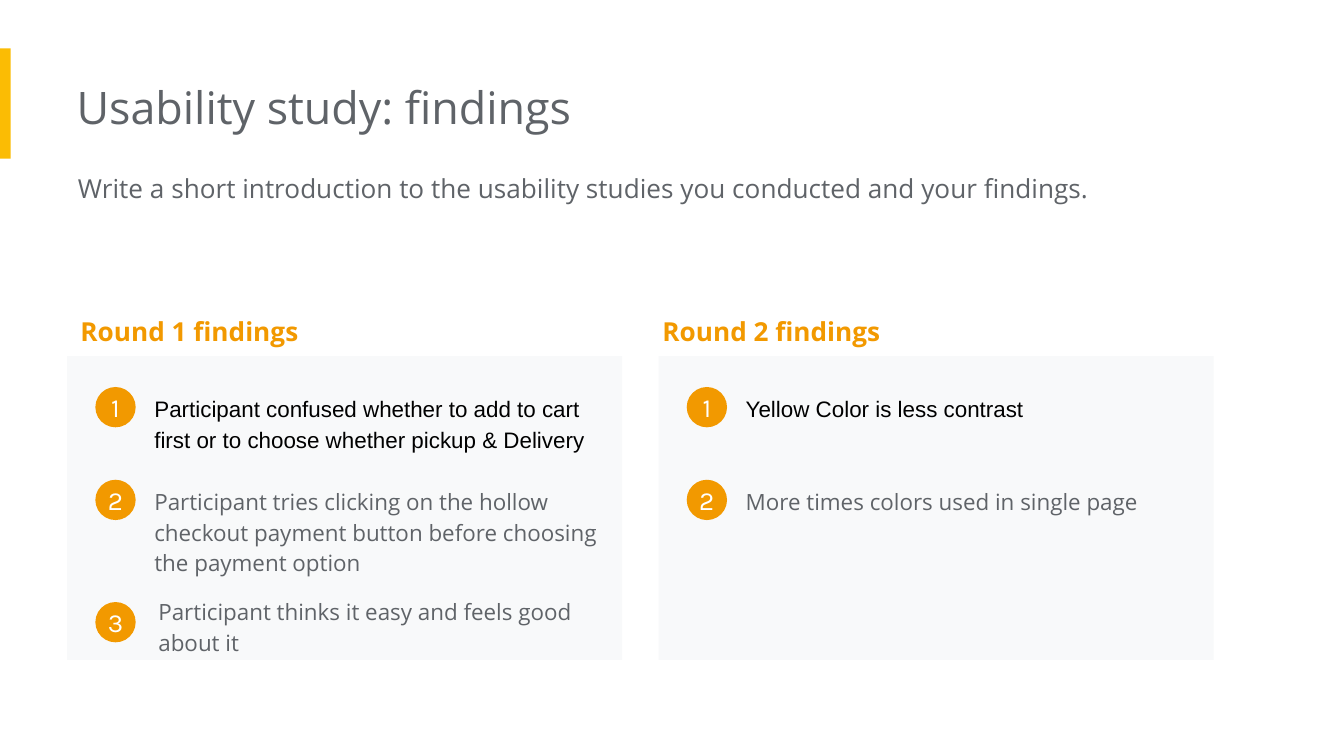
from dataclasses import dataclass

from pptx import Presentation
from pptx.dml.color import RGBColor
from pptx.enum.shapes import MSO_SHAPE
from pptx.enum.text import MSO_ANCHOR, PP_ALIGN
from pptx.util import Inches, Pt

RECT, OVAL = MSO_SHAPE.RECTANGLE, MSO_SHAPE.OVAL
TOP, MIDDLE = MSO_ANCHOR.TOP, MSO_ANCHOR.MIDDLE
LEFT, CENTER = PP_ALIGN.LEFT, PP_ALIGN.CENTER
GREY, ORANGE, YELLOW = "5F6368", "F29900", "FBBC04"
PANEL, WHITE, BLACK = "F8F9FA", "FFFFFF", "000000"
SANS, BADGE_FONT = "Open Sans", "Karla"
PANEL_TOP, PANEL_W, PANEL_H = 2.65, 4.13, 2.26
BADGE_SIZE, BADGE_DX, TEXT_DX = 0.3, 0.21, 0.55


@dataclass
class Style:
    size: float
    color: str
    name: str = SANS
    bold: bool = False
    spacing: float = 1.15


@dataclass
class Finding:
    text: str
    top: float
    height: float
    badge_top: float
    color: str = GREY
    font: str = SANS
    width: float = 3.65
    shift: float = 0


@dataclass
class Study:
    heading: str
    heading_left: float
    left: float
    findings: list[Finding]


def rgb(value: str) -> RGBColor:
    return RGBColor.from_string(value)


def write(sp, text: str, style: Style, inset: float = 0.1, left_inset: float = 0.1,
          anchor=TOP, align=LEFT) -> None:
    tf = sp.text_frame
    frame = {
        "word_wrap": True,
        "vertical_anchor": anchor,
        "margin_left": Inches(left_inset),
        "margin_top": Inches(inset),
        "margin_right": Inches(inset),
        "margin_bottom": Inches(inset),
    }
    for key, value in frame.items():
        setattr(tf, key, value)
    p = tf.paragraphs[0]
    p.alignment = align
    p.line_spacing = style.spacing
    r = p.add_run()
    r.text = text
    font = {"name": style.name, "size": Pt(style.size), "bold": style.bold}
    for key, value in font.items():
        setattr(r.font, key, value)
    r.font.color.rgb = rgb(style.color)


def add_text(s, x: float, y: float, w: float, h: float, text: str, style: Style,
             left_inset: float = 0.1) -> None:
    sp = s.shapes.add_textbox(Inches(x), Inches(y), Inches(w), Inches(h))
    write(sp, text, style, left_inset=left_inset)


def add_shape(s, kind, x: float, y: float, w: float, h: float, color: str):
    sp = s.shapes.add_shape(kind, Inches(x), Inches(y), Inches(w), Inches(h))
    sp.shadow.inherit = False
    sp.fill.solid()
    sp.fill.fore_color.rgb = rgb(color)
    sp.line.fill.background()
    return sp


def add_finding(s, left: float, number: int, f: Finding) -> None:
    badge = add_shape(s, OVAL, left + BADGE_DX, f.badge_top, BADGE_SIZE, BADGE_SIZE, ORANGE)
    write(badge, str(number), Style(14, WHITE, BADGE_FONT, spacing=1.0),
          inset=0, left_inset=0, anchor=MIDDLE, align=CENTER)
    add_text(s, left + TEXT_DX + f.shift, f.top, f.width, f.height, f.text,
             Style(12, f.color, f.font))


def add_study(s, study: Study) -> None:
    add_shape(s, RECT, study.left, PANEL_TOP, PANEL_W, PANEL_H, PANEL)
    add_text(s, study.heading_left, 2.21, 3.65, 0.44, study.heading,
             Style(14, ORANGE, bold=True))
    for number, finding in enumerate(study.findings, 1):
        add_finding(s, study.left, number, finding)


STUDIES = [
    Study("Round 1 findings", 0.5, 0.5, [
        Finding("Participant confused whether to add to cart first or to choose "
                "whether pickup & Delivery", 2.81, 0.67, 2.88, BLACK, "Arial"),
        Finding("Participant tries clicking on the hollow checkout payment button "
                "before choosing the payment option", 3.5, 0.9, 3.57),
        Finding("Participant thinks it easy and feels good about it",
                4.32, 0.67, 4.48, shift=0.03),
    ]),
    Study("Round 2 findings", 4.83, 4.9, [
        Finding("Yellow Color is less contrast", 2.81, 0.43, 2.88, BLACK, "Arial"),
        Finding("More times colors used in single page", 3.5, 0.43, 3.57, width=3.85),
    ]),
]


def main() -> None:
    prs = Presentation()
    prs.slide_width = Inches(10)
    prs.slide_height = Inches(10 * 9 / 16)
    s = prs.slides.add_slide(prs.slide_layouts[6])
    add_shape(s, RECT, 0, 0.36, 0.08, 0.82, YELLOW)
    add_text(s, 0.57, 0.49, 6.73, 0.61, "Usability study: findings",
             Style(24, GREY, spacing=1.0), left_inset=0)
    add_text(s, 0.58, 1.15, 8.61, 0.71,
             "Write a short introduction to the usability studies you conducted "
             "and your findings.", Style(14, GREY), left_inset=0)
    for study in STUDIES:
        add_study(s, study)
    prs.save("out.pptx")


if __name__ == "__main__":
    main()
